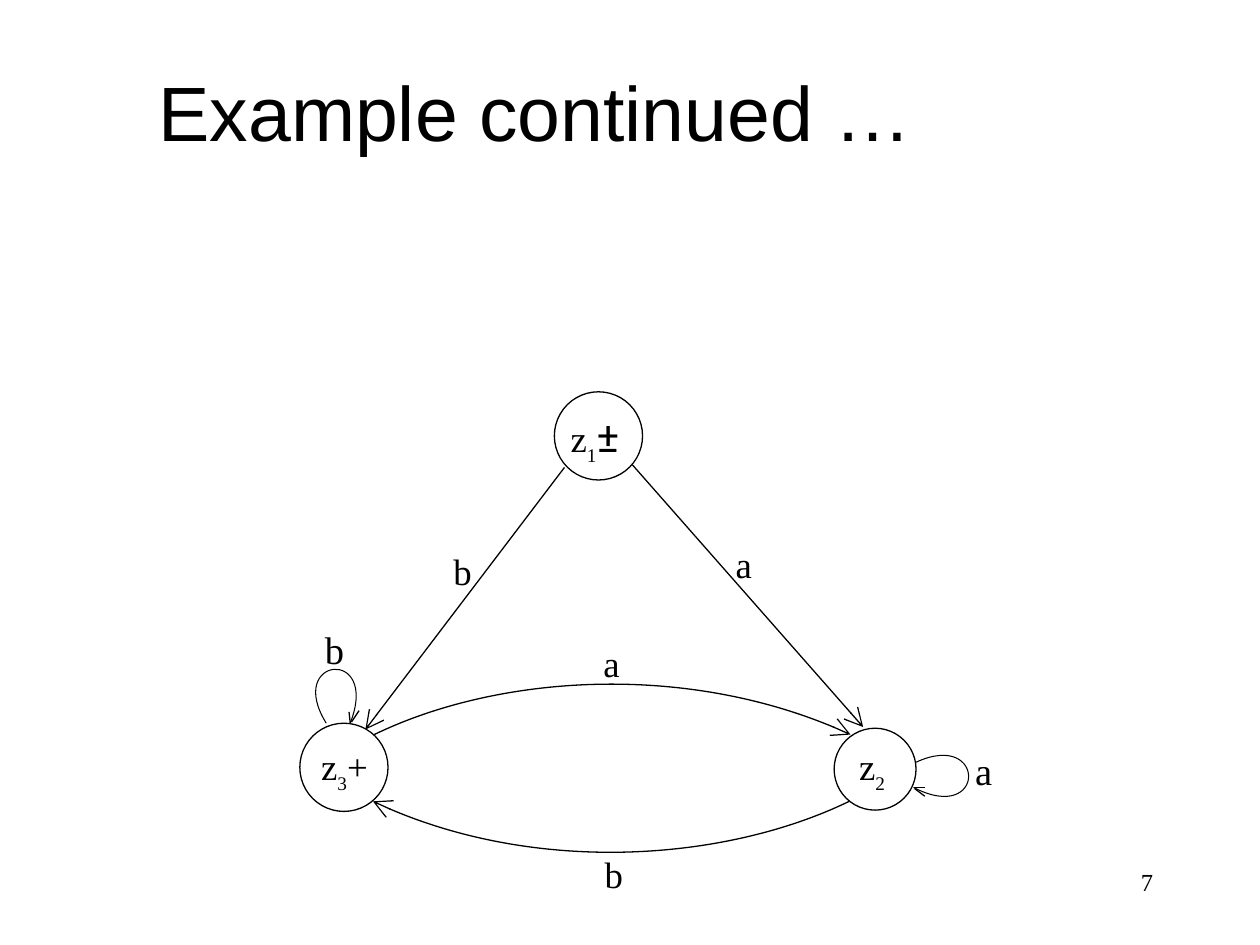
from lxml.etree import SubElement
from pptx import Presentation
from pptx.dml.color import RGBColor
from pptx.enum.shapes import MSO_CONNECTOR as LINE, MSO_SHAPE as SHAPE
from pptx.enum.text import MSO_ANCHOR as ANCHOR, PP_ALIGN as ALIGN
from pptx.oxml.ns import qn
from pptx.util import Inches, Pt

BLACK, WHITE = "000000", "FFFFFF"
SERIF = "Times New Roman"
color = RGBColor.from_string

prs = Presentation()
prs.slide_width, prs.slide_height = Inches(10), Inches(7.5)
shapes = prs.slides.add_slide(prs.slide_layouts[6]).shapes


def add_text(x, y, w, h, runs, align=ALIGN.LEFT, anchor=ANCHOR.TOP):
    """Add one line of text; each run is (text, size, font, baseline)."""
    frame = shapes.add_textbox(*map(Inches, (x, y, w, h))).text_frame
    frame.word_wrap = True
    frame.vertical_anchor = anchor
    line = frame.paragraphs[0]
    line.alignment = align
    for text, size, font, baseline in runs:
        run = line.add_run()
        run.text = text
        run.font.size, run.font.name = Pt(size), font
        run.font.color.rgb = color(BLACK)
        if baseline:
            run.font._element.set("baseline", str(baseline))


def style_line(shape, width=0.75, arrow=False):
    """Give a shape a black line and, if asked, a large open arrowhead."""
    shape.line.color.rgb = color(BLACK)
    shape.line.width = Pt(width)
    if arrow:
        SubElement(shape.line._get_or_add_ln(), qn("a:tailEnd"),
                   type="arrow", w="lg", len="lg")


# Title and page number
add_text(0, 0.25, 8.5, 1.25, [("Example continued …", 44, "Arial", 0)],
         ALIGN.CENTER, ANCHOR.MIDDLE)
add_text(7.17, 6.83, 2.08, 0.5, [("7", 14, SERIF, 0)], ALIGN.RIGHT)

# States: circle left, top, diameter; label left, top; index, sign
states = [
    (4.4, 3.11, 0.7, 4.43, 3.21, "1", ("±", 24, "Roboto", 0)),
    (6.62, 5.78, 0.65, 6.72, 5.85, "2", None),
    (2.38, 5.74, 0.7, 2.45, 5.85, "3", ("+", 21, SERIF, 0)),
]
for left, top, diameter, label_x, label_y, index, sign in states:
    state = shapes.add_shape(SHAPE.OVAL, *map(Inches, (left, top, diameter, diameter)))
    state.shadow.inherit = False
    state.fill.solid()
    state.fill.fore_color.rgb = color(WHITE)
    style_line(state)
    label = [("z", 21, SERIF, 0), (index, 19, SERIF, -30000)]
    add_text(label_x, label_y, 0.98, 0.5, label + ([sign] if sign else []))

# Straight transitions out of z1
for x1, y1, x2, y2 in [(4.48, 3.71, 2.9, 5.79), (5.02, 3.69, 6.85, 5.77)]:
    transition = shapes.add_connector(LINE.STRAIGHT, *map(Inches, (x1, y1, x2, y2)))
    style_line(transition, arrow=True)
    SubElement(transition._element.spPr, qn("a:effectLst"))

# Curved transitions, self-loops and the loops' arrowhead strokes:
# two points make a stroke, four make a Bézier curve
strokes = [
    ([(2.97, 5.83), (3.94, 5.36), (5.5, 5.25), (6.75, 5.83)], 0.75, True),
    ([(6.74, 6.36), (5.77, 6.83), (4.2, 6.95), (2.96, 6.36)], 0.75, True),
    ([(7.27, 6.05), (7.83, 5.79), (7.83, 6.55), (7.25, 6.25)], 0.6, False),
    ([(7.26, 6.26), (7.34, 6.32)], 0.75, False),
    ([(7.34, 6.25), (7.25, 6.25)], 0.75, False),
    ([(2.59, 5.74), (2.26, 5.21), (3.02, 5.13), (2.78, 5.74)], 0.6, False),
    ([(2.79, 5.73), (2.85, 5.64)], 0.75, False),
    ([(2.77, 5.65), (2.78, 5.74)], 0.75, False),
]
for points, width, arrow in strokes:
    start, *rest = [(Inches(x), Inches(y)) for x, y in points]
    builder = shapes.build_freeform(*start)
    builder.add_line_segments(rest, close=False)
    stroke = builder.convert_to_shape()
    stroke.shadow.inherit = False
    stroke.fill.background()
    style_line(stroke, width, arrow)
    if len(points) == 4:
        # Merge the three straight segments into one cubic curve
        segments = list(stroke._element.iter(qn("a:lnTo")))
        outline = segments[0].getparent()
        curve = SubElement(outline, qn("a:cubicBezTo"))
        for segment in segments:
            curve.append(segment[0])
            outline.remove(segment)

# Transition letters
letters = [
    ("b", 3.5, 4.31, 21), ("a", 5.74, 4.25, 21),
    ("a", 4.69, 5.04, 21), ("b", 4.7, 6.71, 21),
    ("b", 2.48, 4.92, 22), ("a", 7.64, 5.88, 22),
]
for letter, x, y, size in letters:
    add_text(x, y, 0.39, 0.46, [(letter, size, SERIF, 0)])

prs.save("out.pptx")
